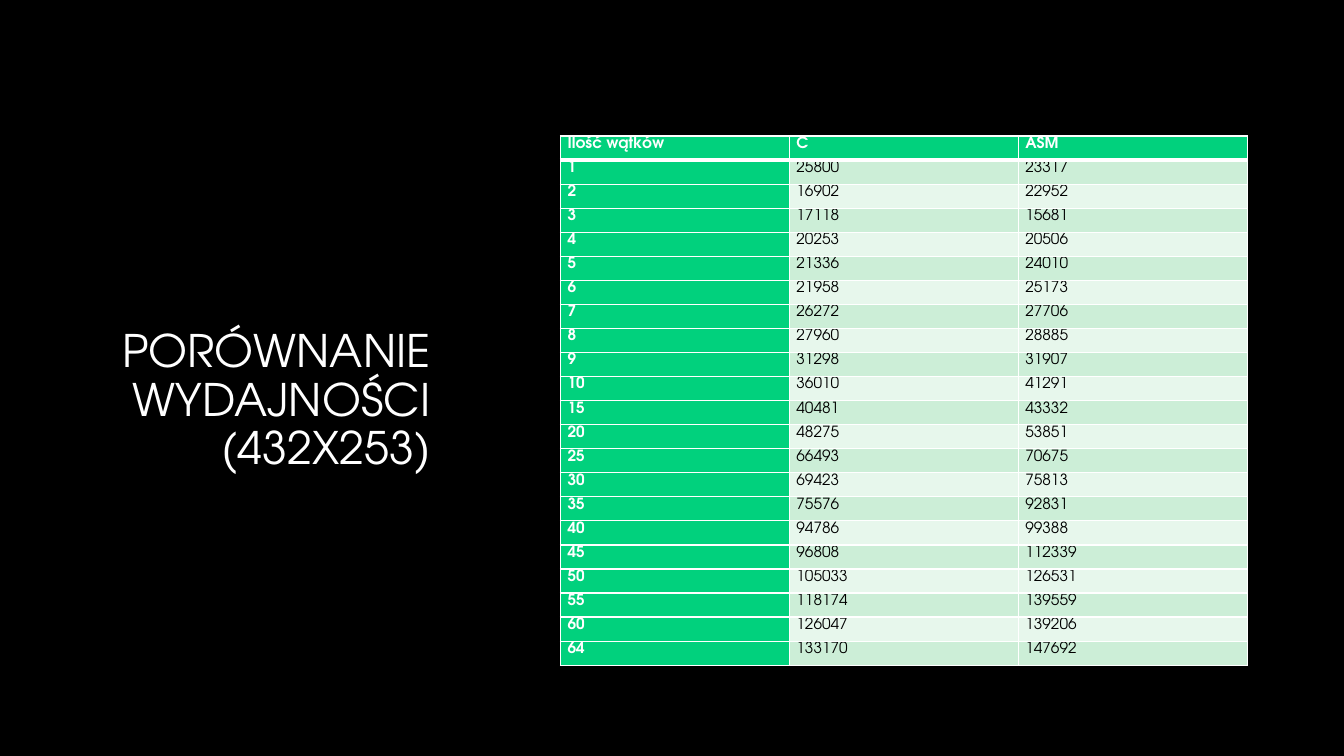
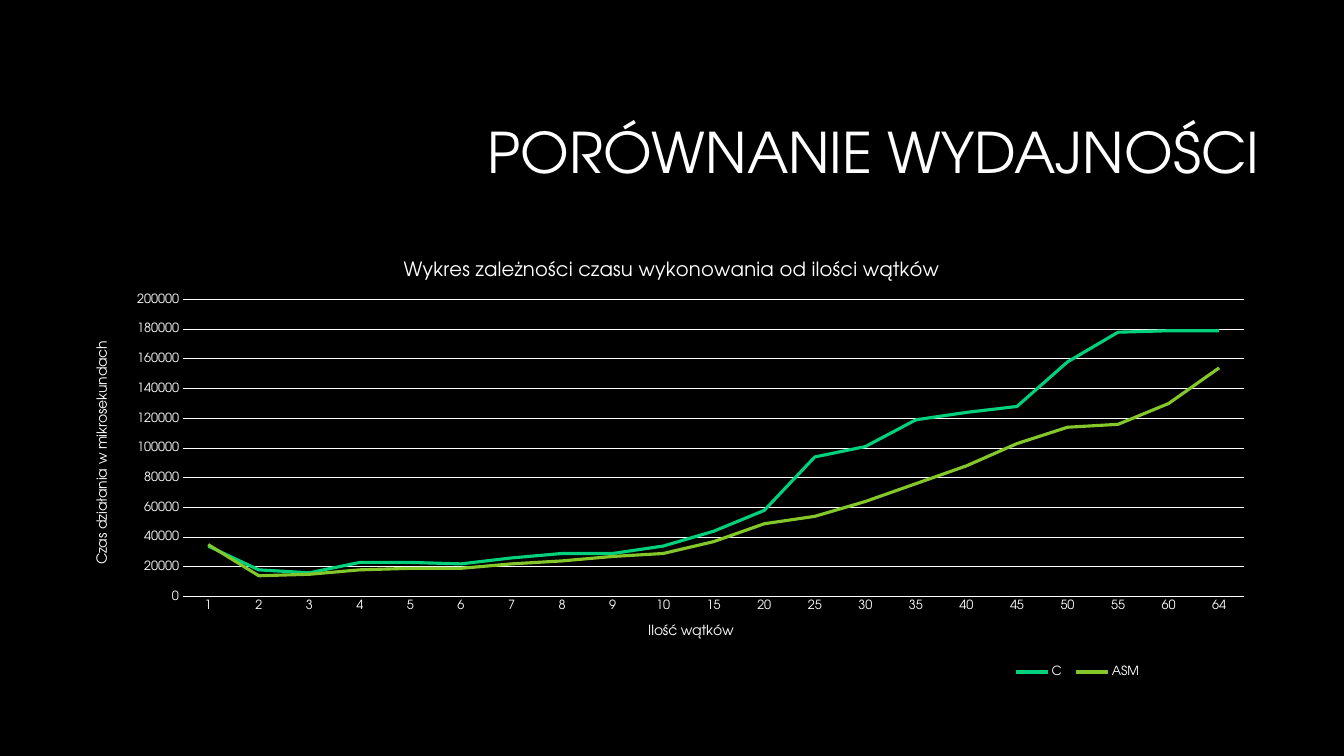
from dataclasses import dataclass

from lxml.etree import SubElement
from pptx import Presentation
from pptx.chart.data import CategoryChartData
from pptx.dml.color import RGBColor
from pptx.enum.chart import XL_CHART_TYPE, XL_LEGEND_POSITION, XL_TICK_MARK
from pptx.enum.text import MSO_ANCHOR, PP_ALIGN
from pptx.oxml import parse_xml
from pptx.oxml.ns import nsdecls, qn
from pptx.util import Emu, Inches, Pt


@dataclass(frozen=True)
class Theme:
    """Colours, font and type sizes shared by the slides."""

    font: str = "TeX Gyre Adventor"
    back: str = "000000"
    light: str = "FFFFFF"
    dark: str = "000000"
    green: str = "01D17D"
    lime: str = "84C72A"
    bands: tuple = ("CCEED7", "E7F7EC")
    side_title: int = 32
    top_title: int = 40
    table_text: int = 11
    chart_title: int = 14
    axis_title: int = 10
    axis_label: int = 9


THEME = Theme()
WIDTH, HEIGHT = Inches(13.33), Inches(7.5)
THREADS = [*range(1, 11), *range(15, 61, 5), 64]
LANGUAGES = ("C", "ASM")
TABLE_TIMES = (
    (25800, 16902, 17118, 20253, 21336, 21958, 26272, 27960, 31298, 36010, 40481,
     48275, 66493, 69423, 75576, 94786, 96808, 105033, 118174, 126047, 133170),
    (23317, 22952, 15681, 20506, 24010, 25173, 27706, 28885, 31907, 41291, 43332,
     53851, 70675, 75813, 92831, 99388, 112339, 126531, 139559, 139206, 147692),
)
CHART_TIMES = (
    (34000, 18000, 16000, 23000, 23000, 22000, 26000, 29000, 29000, 34000, 44000,
     58000, 94000, 101000, 119000, 124000, 128000, 158000, 178000, 179000, 179000),
    (35000, 14000, 15000, 18000, 19000, 19000, 22000, 24000, 27000, 29000, 37000,
     49000, 54000, 64000, 76000, 88000, 103000, 114000, 116000, 130000, 154000),
)


def colour(code):
    """Turn a hex code into a colour."""
    return RGBColor.from_string(code)


def region(left, top, width, height):
    """Turn inches into a left, top, width, height box."""
    return tuple(Inches(side) for side in (left, top, width, height))


def style_font(font, size, code=THEME.light, bold=False):
    """Give a font the theme typeface with a size, colour and weight."""
    font.name, font.size, font.bold = THEME.font, Pt(size), bold
    font.color.rgb = colour(code)


def add_title(page, box, lines, size):
    """Place a right-aligned, vertically centred title in the box."""
    frame = page.shapes.add_textbox(*box).text_frame
    frame.word_wrap = True
    frame.vertical_anchor = MSO_ANCHOR.MIDDLE
    para = frame.paragraphs[0]
    para.alignment, para.line_spacing = PP_ALIGN.RIGHT, 0.9
    for index, line in enumerate(lines):
        if index:
            para.add_line_break()
        span = para.add_run()
        span.text = line
        style_font(span.font, size)


def add_borders(cell, bottom):
    """Draw white cell borders, with the given bottom width in points."""
    properties = cell._tc.get_or_add_tcPr()
    for index, (side, width) in enumerate(zip("LRTB", (1, 1, 1, bottom))):
        properties.insert(index, parse_xml(
            f'<a:ln{side} {nsdecls("a")} w="{Pt(width)}"><a:solidFill>'
            f'<a:srgbClr val="{THEME.light}"/></a:solidFill></a:ln{side}>'))


def fill_cell(cell, text, fill, code, bold, bottom):
    """Write one table cell and set its look."""
    cell.margin_left = cell.margin_right = Inches(0.07)
    cell.margin_top = cell.margin_bottom = 0
    cell.fill.solid()
    cell.fill.fore_color.rgb = colour(fill)
    para = cell.text_frame.paragraphs[0]
    para.line_spacing = 1.07
    span = para.add_run()
    span.text = text
    style_font(span.font, THEME.table_text, code, bold)
    add_borders(cell, bottom)


def add_times_table(page, box):
    """Fill the box with the table of times by thread count."""
    records = [("Ilość wątków", *LANGUAGES), *zip(THREADS, *TABLE_TIMES)]
    table = page.shapes.add_table(len(records), len(records[0]), *box).table
    table.first_col, table.horz_banding = True, False
    for column in table.columns:
        column.width = Emu(box[2] // len(table.columns))
    for row_index, record in enumerate(records):
        table.rows[row_index].height = Emu(box[3] // len(records))
        for column_index, value in enumerate(record):
            heading = row_index == 0 or column_index == 0
            fill = THEME.green if heading else THEME.bands[(row_index - 1) % 2]
            fill_cell(table.cell(row_index, column_index), str(value), fill,
                      THEME.light if heading else THEME.dark, heading,
                      3 if row_index == 0 else 1)


def set_layout(element, before, inner=False, **shares):
    """Position a chart part by shares of the chart's size."""
    for old in element.findall(qn("c:layout")):
        element.remove(old)
    layout = parse_xml(f'<c:layout {nsdecls("c")}/>')
    manual = SubElement(layout, qn("c:manualLayout"))
    settings = {"layoutTarget": "inner"} if inner else {}
    settings.update(xMode="edge", yMode="edge", **shares)
    for name, value in settings.items():
        SubElement(manual, qn(f"c:{name}")).set("val", str(value))
    if before:
        element.find(qn(before)).addprevious(layout)
    else:
        element.insert(0, layout)


def write_chart_title(owner, text, size):
    """Write the title of a chart or of an axis."""
    span = owner.text_frame.paragraphs[0].add_run()
    span.text = text
    style_font(span.font, size)


def style_line(line, code, width):
    """Set the colour and width in points of a line."""
    line.color.rgb = colour(code)
    line.width = Pt(width)


def style_axis(axis, title):
    """Set the title, labels and ticks of an axis."""
    write_chart_title(axis.axis_title, title, THEME.axis_title)
    axis.major_tick_mark = axis.minor_tick_mark = XL_TICK_MARK.NONE
    style_font(axis.tick_labels.font, THEME.axis_label)


def add_times_chart(page, box):
    """Fill the box with the line chart of times by thread count."""
    data = CategoryChartData()
    data.categories = [str(count) for count in THREADS]
    for name, times in zip(LANGUAGES, CHART_TIMES):
        data.add_series(name, times)
    chart = page.shapes.add_chart(XL_CHART_TYPE.LINE, *box, data).chart
    style_font(chart.font, THEME.axis_title)
    write_chart_title(chart.chart_title,
                      "Wykres zależności czasu wykonowania od ilości wątków",
                      THEME.chart_title)
    chart.chart_title.include_in_layout = False

    style_axis(chart.category_axis, "Ilość wątków")
    style_line(chart.category_axis.format.line, THEME.light, 0.75)
    values = chart.value_axis
    style_axis(values, "Czas działania w mikrosekundach")
    values.minimum_scale, values.maximum_scale, values.major_unit = 0, 200000, 20000
    values.format.line.fill.background()
    style_line(values.major_gridlines.format.line, THEME.light, 0.75)

    plot = chart.plots[0]
    plot.vary_by_categories = False
    for series, code in zip(plot.series, (THEME.green, THEME.lime)):
        series.smooth = False
        style_line(series.format.line, code, 2.25)

    chart.has_legend = True
    chart.legend.position = XL_LEGEND_POSITION.BOTTOM
    chart.legend.include_in_layout = False
    style_font(chart.legend.font, THEME.axis_label)
    set_layout(chart.legend._element, "c:overlay", x=0.78, y=0.94, w=0.12, h=0.06)
    set_layout(chart._chartSpace.chart.plotArea, None, inner=True,
               x=0.09, y=0.13, w=0.89, h=0.67)


def add_page(deck):
    """Add a slide on the blank layout."""
    return deck.slides.add_slide(deck.slide_layouts[6])


def build_table_page(deck):
    """Build the slide with a side title and the table."""
    page = add_page(deck)
    add_title(page, region(0.75, 1.17, 3.62, 5.63),
              ("PORÓWNANIE WYDAJNOŚCI", "(432X253)"), THEME.side_title)
    add_times_table(page, region(5.56, 1.35, 6.81, 5.25))


def build_chart_page(deck):
    """Build the slide with a top title and the chart."""
    page = add_page(deck)
    add_title(page, region(3.17, 0.84, 9.42, 1.41),
              ("PORÓWNANIE WYDAJNOŚCI",), THEME.top_title)
    add_times_chart(page, region(0.75, 2.4, 11.83, 4.4))


def main():
    """Build and save the deck."""
    deck = Presentation()
    deck.slide_width, deck.slide_height = WIDTH, HEIGHT
    backdrop = deck.slide_master.background.fill
    backdrop.solid()
    backdrop.fore_color.rgb = colour(THEME.back)
    build_table_page(deck)
    build_chart_page(deck)
    deck.save("out.pptx")


if __name__ == "__main__":
    main()
